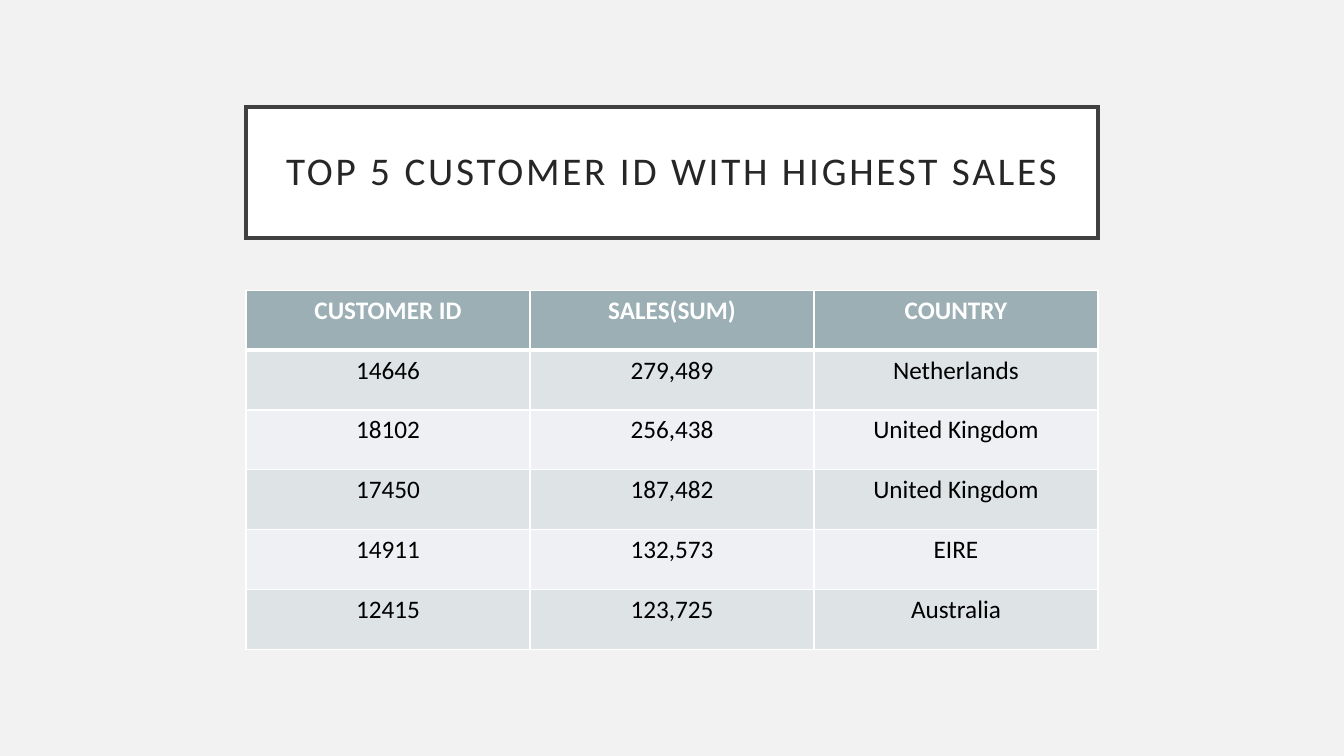
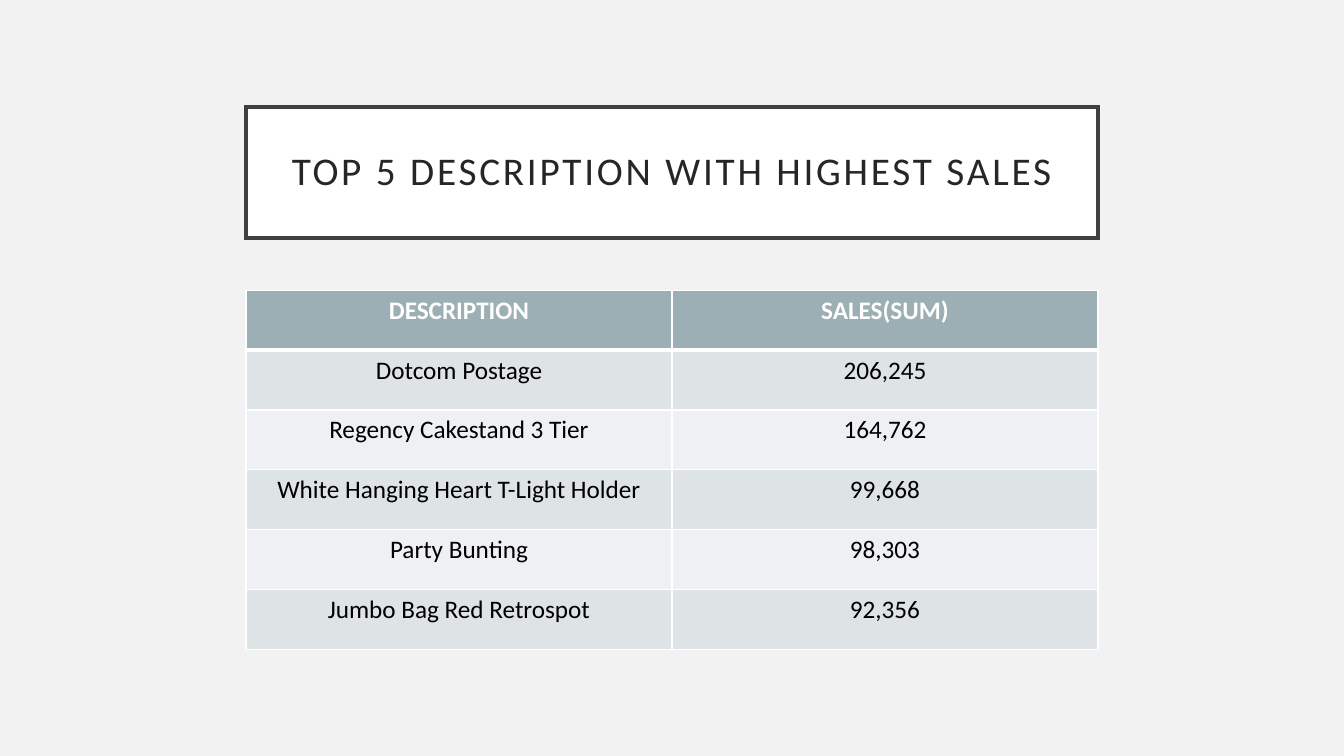
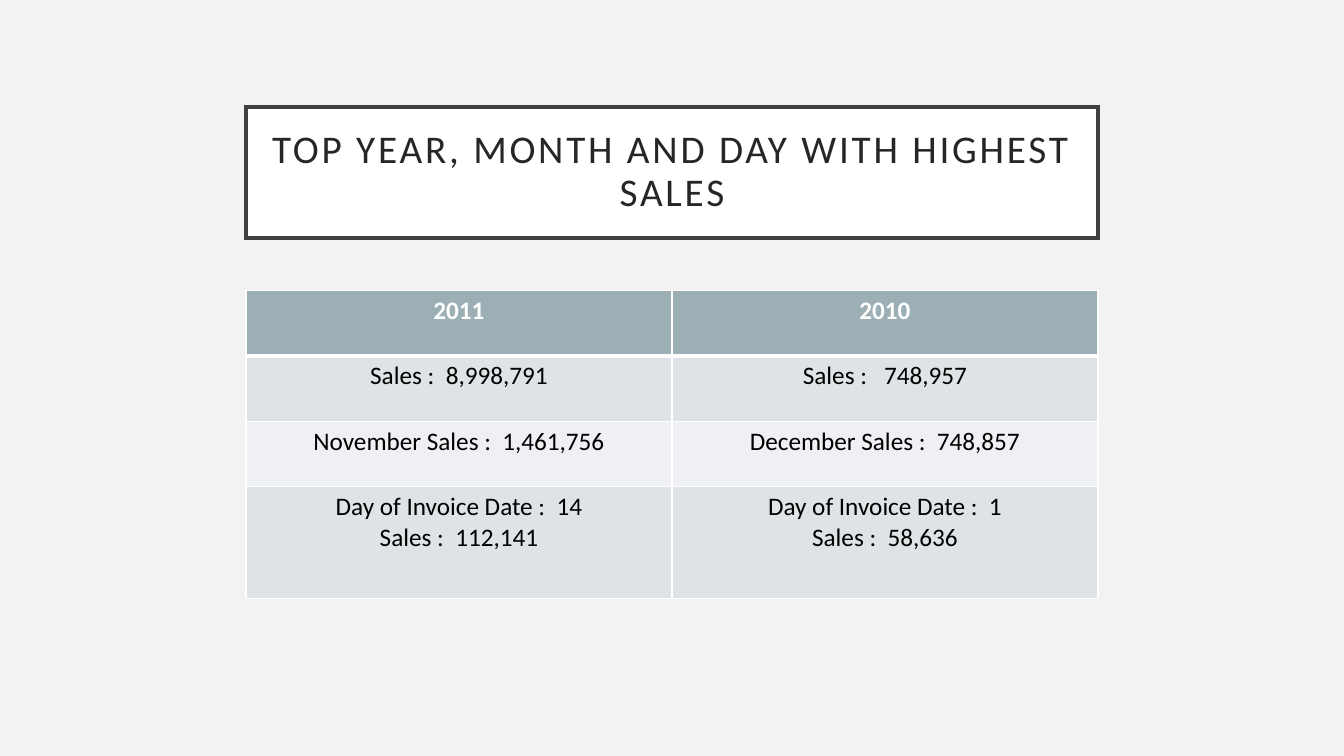
from lxml.etree import SubElement
from pptx import Presentation
from pptx.dml.color import RGBColor
from pptx.enum.shapes import MSO_SHAPE
from pptx.enum.text import MSO_ANCHOR, PP_ALIGN
from pptx.oxml.ns import qn
from pptx.util import Inches, Pt

COLORS = {
    "background": "F2F2F2",
    "white": "FFFFFF",
    "frame": "404040",
    "title": "262626",
    "header": "9BAFB5",
    "odd_row": "DEE3E5",
    "even_row": "EFF0F3",
    "body": "000000",
}
FONT = "Calibri"
LEFT, WIDTH = 2.44, 8.45
EVEN_HEIGHTS = [3.56 / 6] * 6

# Slide contents: title, row heights, table rows
SLIDES = [
    ("TOP 5 CUSTOMER ID WITH HIGHEST SALES", EVEN_HEIGHTS, [
        ("CUSTOMER ID", "SALES(SUM)", "COUNTRY"),
        ("14646", "279,489", "Netherlands"),
        ("18102", "256,438", "United Kingdom"),
        ("17450", "187,482", "United Kingdom"),
        ("14911", "132,573", "EIRE"),
        ("12415", "123,725", "Australia"),
    ]),
    ("TOP 5 DESCRIPTION WITH HIGHEST SALES", EVEN_HEIGHTS, [
        ("DESCRIPTION", "SALES(SUM)"),
        ("Dotcom Postage", "206,245"),
        ("Regency Cakestand 3 Tier", "164,762"),
        ("White Hanging Heart T-Light Holder", "99,668"),
        ("Party Bunting", "98,303"),
        ("Jumbo Bag Red Retrospot", "92,356"),
    ]),
    ("TOP YEAR, MONTH AND DAY WITH HIGHEST SALES", [0.65, 0.65, 0.65, 1.11], [
        ("2011", "2010"),
        ("Sales :  8,998,791", "Sales :   748,957"),
        ("November Sales :  1,461,756", "December Sales :  748,857"),
        ("Day of Invoice Date :  14\nSales :  112,141",
         "Day of Invoice Date :  1\nSales :  58,636"),
    ]),
]


def format_text(frame, size, color, bold=False):
    for para in frame.paragraphs:
        para.alignment = PP_ALIGN.CENTER
        for span in para.runs:
            span.font.name = FONT
            span.font.size = Pt(size)
            span.font.bold = bold
            span.font.color.rgb = RGBColor.from_string(COLORS[color])


def add_borders(cell, widths):
    properties = cell._tc.get_or_add_tcPr()
    for side, width in widths.items():
        line = SubElement(properties, qn(f"a:ln{side}"), w=str(Pt(width)))
        fill = SubElement(line, qn("a:solidFill"))
        SubElement(fill, qn("a:srgbClr"), val=COLORS["white"])


deck = Presentation()
deck.slide_width, deck.slide_height = Inches(13.33), Inches(7.5)

for title, heights, rows in SLIDES:
    page = deck.slides.add_slide(deck.slide_layouts[6])
    background = page.background.fill
    background.solid()
    background.fore_color.rgb = RGBColor.from_string(COLORS["background"])

    # Framed title with square corners
    box = page.shapes.add_shape(MSO_SHAPE.RECTANGLE, Inches(LEFT), Inches(1.06),
                                Inches(WIDTH), Inches(1.3))
    box.shadow.inherit = False
    box.fill.solid()
    box.fill.fore_color.rgb = RGBColor.from_string(COLORS["white"])
    box.line.color.rgb = RGBColor.from_string(COLORS["frame"])
    box.line.width = Pt(2.5)
    SubElement(box.line._get_or_add_ln(), qn("a:miter"), lim="800000")
    frame = box.text_frame
    frame.word_wrap = True
    frame.vertical_anchor = MSO_ANCHOR.MIDDLE
    frame.margin_left = frame.margin_right = Inches(0.2)
    frame.margin_top = frame.margin_bottom = Inches(0.2)
    frame.text = title
    format_text(frame, 28, "title")
    para = frame.paragraphs[0]
    para.line_spacing = 0.9
    para.runs[0].font._element.set("spc", "200")

    # Table with equal columns
    count = len(rows[0])
    table = page.shapes.add_table(len(rows), count, Inches(LEFT), Inches(2.88),
                                  Inches(WIDTH), Inches(sum(heights))).table
    for column in table.columns:
        column.width = Inches(WIDTH / count)
    for row_index, (height, texts) in enumerate(zip(heights, rows)):
        table.rows[row_index].height = Inches(height)
        is_header = row_index == 0
        band = "header" if is_header else "odd_row" if row_index % 2 else "even_row"
        widths = {"L": 1, "R": 1, "T": 3 if row_index == 1 else 1,
                  "B": 3 if is_header else 1}
        for column_index, text in enumerate(texts):
            cell = table.cell(row_index, column_index)
            cell.text_frame.text = text
            format_text(cell.text_frame, 18, "white" if is_header else "body", is_header)
            add_borders(cell, widths)
            cell.fill.solid()
            cell.fill.fore_color.rgb = RGBColor.from_string(COLORS[band])

deck.save("out.pptx")
